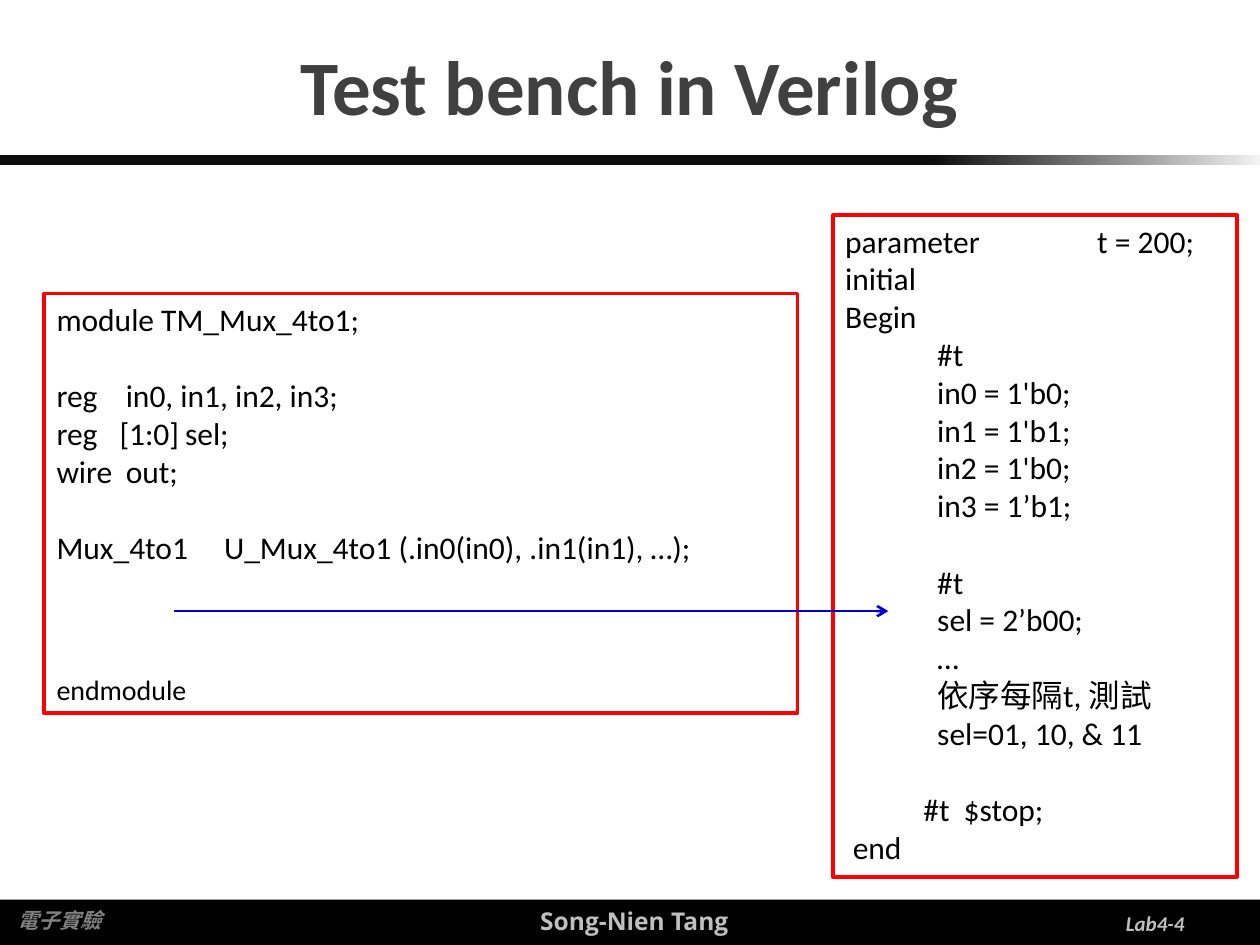
"""Build the slide that shows a Verilog test bench."""
import pptx
import pptx.dml.color
import pptx.enum.dml
import pptx.enum.shapes
import pptx.enum.text
import pptx.oxml
import pptx.oxml.ns
import pptx.util
from pptx.util import Inches

ALIGN = pptx.enum.text.PP_ALIGN
ANCHOR = pptx.enum.text.MSO_ANCHOR
RECTANGLE = pptx.enum.shapes.MSO_SHAPE.RECTANGLE
BLANK_LINE = 22

MODULE_LINES = [
    {"text": "module TM_Mux_4to1;"},
    {"text": "reg\tin0, in1, in2, in3;", "tabs": [0.55], "before": BLANK_LINE},
    {"text": "reg\t[1:0]\tsel;", "tabs": [0.5, 1.02]},
    {"text": "wire\tout;", "tabs": [0.55]},
    {"text": "Mux_4to1\tU_Mux_4to1 (.in0(in0), .in1(in1), …);", "tabs": [1.33], "before": BLANK_LINE},
    {"text": "endmodule", "size": 16, "before": 61},
]
STIMULUS_LINES = [
    {"text": "parameter\tt = 200;", "tabs": [2]},
    {"text": "initial"},
    {"text": "Begin"},
    {"text": "#t", "indent": 0.73},
    {"text": "in0 = 1'b0;", "indent": 0.73},
    {"text": "in1 = 1'b1;", "indent": 0.73},
    {"text": "in2 = 1'b0;", "indent": 0.73},
    {"text": "in3 = 1’b1;", "indent": 0.73},
    {"text": "#t", "indent": 0.73, "before": BLANK_LINE},
    {"text": "sel = 2’b00;", "indent": 0.73},
    {"text": "…", "indent": 0.73},
    {"text": "依序每隔t, 測試", "indent": 0.73},
    {"text": "sel=01, 10, & 11", "indent": 0.73},
    {"text": "\t#t\t$stop;", "tabs": [0.62, 0.94], "before": BLANK_LINE},
    {"text": "end", "indent": 0.06},
]


def color(value):
    """Turn a hex string into a colour."""
    return pptx.dml.color.RGBColor.from_string(value)


def write_line(paragraph, text, size=18, font="Calibri", fill="000000", bold=False,
               italic=False, align=ALIGN.LEFT, indent=0, before=0, tabs=()):
    """Write one formatted line of text into a paragraph."""
    paragraph.alignment = align
    paragraph.space_before = pptx.util.Pt(before)
    properties = paragraph._p.get_or_add_pPr()
    if indent:
        properties.set("marL", str(Inches(indent)))
        properties.set("indent", "0")
    if tabs:
        tab_list = pptx.oxml.ns.qn("a:tabLst")
        stops = properties.makeelement(tab_list, {})
        properties.append(stops)
        for position in tabs:
            stop = stops.makeelement(pptx.oxml.ns.qn("a:tab"), {"pos": str(Inches(position)), "algn": "l"})
            stops.append(stop)
    run = paragraph.add_run()
    run.text = text
    run.font.size = pptx.util.Pt(size)
    run.font.name = font
    run.font.bold = bold
    run.font.italic = italic
    run.font.color.rgb = color(fill)


def add_label(slide, bounds, text, anchor=ANCHOR.TOP, **text_format):
    """Add a text box that holds one line."""
    frame = slide.shapes.add_textbox(*map(Inches, bounds)).text_frame
    frame.word_wrap = True
    frame.vertical_anchor = anchor
    write_line(frame.paragraphs[0], text, **text_format)


def add_bar(slide, bounds):
    """Add a rectangle without outline or shadow."""
    shape = slide.shapes.add_shape(RECTANGLE, *map(Inches, bounds))
    shape.shadow.inherit = False
    shape.line.fill.background()
    return shape


def add_fading_rule(slide, bounds):
    """Add the dark rule that fades out at its right end."""
    fill = add_bar(slide, bounds).fill
    fill.gradient()
    fill.gradient_angle = 180
    for stop, position, value in zip(fill.gradient_stops, (0, 0.26), ("F2F2F2", "0D0D0D")):
        stop.position = position
        stop.color.rgb = color(value)


def add_code_box(slide, bounds, lines):
    """Add a red outlined box with lines of code."""
    shape = add_bar(slide, bounds)
    shape.fill.background()
    shape.line.color.rgb = color("FF0000")
    shape.line.width = pptx.util.Pt(2.25)
    frame = shape.text_frame
    frame.word_wrap = True
    frame.vertical_anchor = ANCHOR.TOP
    for number, line in enumerate(lines):
        paragraph = frame.add_paragraph() if number else frame.paragraphs[0]
        write_line(paragraph, **line)


def add_arrow(slide, start, end):
    """Add a blue arrow between two points."""
    points = map(Inches, (*start, *end))
    arrow = slide.shapes.add_connector(pptx.enum.shapes.MSO_CONNECTOR.STRAIGHT, *points)
    arrow.line.color.rgb = color("0000CC")
    arrow.line.width = pptx.util.Pt(1.5)
    line = arrow.line._get_or_add_ln()
    line.append(line.makeelement(pptx.oxml.ns.qn("a:tailEnd"), {"type": "arrow"}))
    properties = arrow._element.spPr
    properties.append(properties.makeelement(pptx.oxml.ns.qn("a:effectLst"), {}))


def main():
    """Build and save the presentation."""
    presentation = pptx.Presentation()
    presentation.slide_width = Inches(10)
    presentation.slide_height = Inches(7.5)
    slide = presentation.slides.add_slide(presentation.slide_layouts[6])

    footer = add_bar(slide, (0, 7.14, 10, 0.36))
    footer.fill.solid()
    footer.fill.fore_color.rgb = color("000000")
    add_fading_rule(slide, (0, 1.23, 10, 0.08))
    add_label(slide, (2.87, 7.14, 4.33, 0.34), "Song-Nien Tang", size=14,
              font="Open Sans", fill="BFBFBF", bold=True, align=ALIGN.CENTER)
    add_label(slide, (0.04, 7.15, 2.01, 0.3), "電子實驗", size=12,
              font="Open Sans", fill="808080", bold=True, italic=True)
    add_label(slide, (0.5, 0.05, 9, 1.25), "Test bench in Verilog", anchor=ANCHOR.MIDDLE,
              size=44, fill="404040", bold=True, align=ALIGN.CENTER)
    add_label(slide, (7.17, 7.13, 2.33, 0.4), "Lab4-4", anchor=ANCHOR.MIDDLE,
              size=12, fill="BFBFBF", bold=True, italic=True, align=ALIGN.RIGHT)

    add_code_box(slide, (0.35, 2.33, 5.98, 3.33), MODULE_LINES)
    add_code_box(slide, (6.61, 1.71, 3.21, 5.25), STIMULUS_LINES)
    add_arrow(slide, (1.38, 4.85), (7.05, 4.85))
    presentation.save("out.pptx")


if __name__ == "__main__":
    main()
